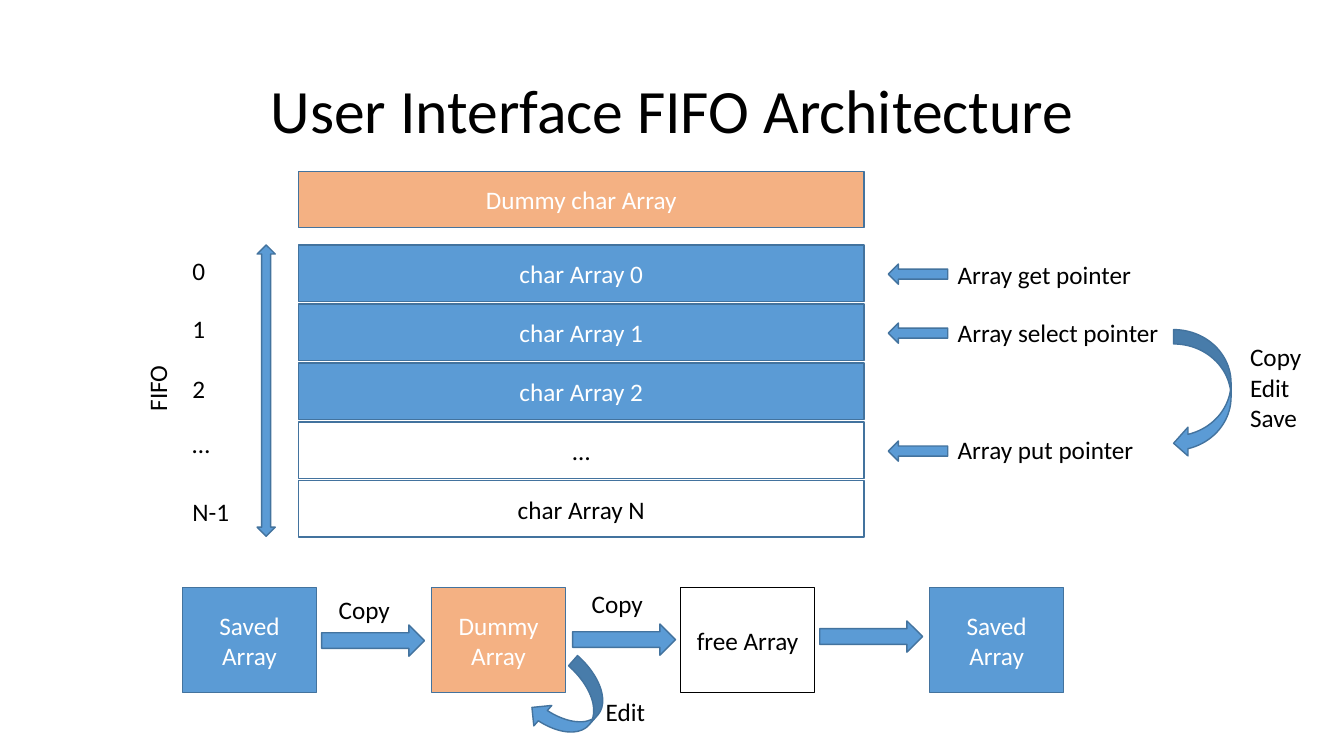
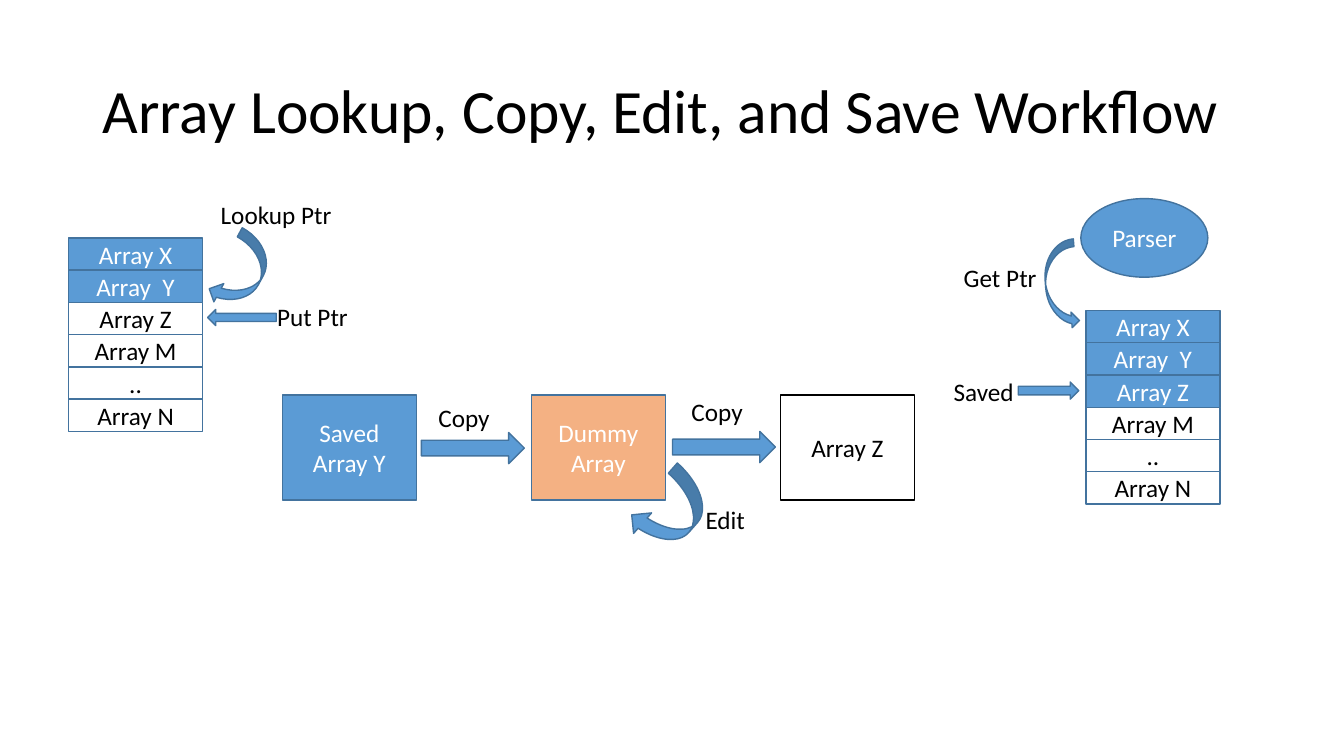
"""Two slides on a FIFO of character arrays and its copy, edit and save workflow."""
from pptx import Presentation
from pptx import util as u
from pptx.dml.color import RGBColor
from pptx.enum import shapes, text
from pptx.oxml.ns import qn

COLORS = {"blue": "5B9BD5", "edge": "43739E", "orange": "F4B183", "white": "FFFFFF", "black": "000000"}
FONT = "Calibri"
KIND = shapes.MSO_SHAPE
ALIGN = text.PP_ALIGN

FULL = {"fill": "blue", "color": "white"}
DUMMY = {"fill": "orange", "color": "white"}
FREE = {"fill": "white", "color": "black"}

FIFO_LEFT, FIFO_TOP, FIFO_WIDTH, ROW_HEIGHT = 2.96, 2.43, 5.61, 0.56
ROW_PITCH = 2.34 / 4
FIFO_ROWS = [("char Array 0", FULL), ("char Array 1", FULL), ("char Array 2", FULL),
             ("…", FREE), ("char Array N", FREE)]
INDEXES = [("0", 2.48, 0.33), ("1", 3.06, 0.33), ("2", 3.65, 0.33), ("…", 4.2, 0.38), ("N-1", 4.87, 0.57)]
POINTERS = [(0, "Array get pointer", 2.52, 2), (1, "Array select pointer", 3.1, 2.21),
            (3, "Array put pointer", 4.26, 1.96)]

STACK_ROWS = ["Array X", "Array  Y", "Array Z", "Array M", "..", "Array N"]
STACKS = [(0.68, 2.36, 2), (10.77, 3.08, 3)]
STACK_PITCH = 0.32

BOX_WIDTH, BOX_HEIGHT, BOX_PITCH = 1.33, 1.04, 2.47
FLOW_ARROWS = [(1.38, 0.37), (3.87, 0.36), (6.32, 0.33)]
FLOW_LABELS = [("Copy", 1.45, 0.02, 0.72), ("Copy", 3.96, -0.04, 0.72), ("Edit", 4.1, 1.03, 0.6)]


def color(name):
    return RGBColor.from_string(COLORS[name])


def write(frame, words, size=18, ink="black", align=ALIGN.LEFT, spacing=None):
    """Fill a text frame, one paragraph a line."""
    for index, line in enumerate(words.split("\n")):
        paragraph = frame.paragraphs[0] if index == 0 else frame.add_paragraph()
        paragraph.alignment = align
        if spacing:
            paragraph.line_spacing = spacing
        run = paragraph.add_run()
        run.text = line
        run.font.name, run.font.size = FONT, u.Pt(size)
        run.font.color.rgb = color(ink)


def draw(slide, kind, left, top, width, height, words="", fill="blue", color_name="white",
         edge="edge", rotation=0, mirrored=False):
    """Add an outlined preset shape with centred text."""
    shape = slide.shapes.add_shape(kind, *map(u.Inches, (left, top, width, height)))
    shape.shadow.inherit = False
    shape.fill.solid()
    shape.fill.fore_color.rgb = color(fill)
    shape.line.color.rgb = color(edge)
    shape.line.width = u.Pt(1)
    shape.rotation = rotation
    if mirrored:
        shape.element.spPr.find(qn("a:xfrm")).set("flipH", "1")
    if words:
        shape.text_frame.vertical_anchor = text.MSO_ANCHOR.MIDDLE
        write(shape.text_frame, words, ink=color_name, align=ALIGN.CENTER)


def box(slide, left, top, width, height, words, state, **style):
    draw(slide, KIND.RECTANGLE, left, top, width, height, words, state["fill"], state["color"], **style)


def label(slide, words, left, top, width, height=0.4, rotation=0):
    note = slide.shapes.add_textbox(*map(u.Inches, (left, top, width, height)))
    note.rotation = rotation
    note.text_frame.word_wrap = False
    note.text_frame.auto_size = text.MSO_AUTO_SIZE.SHAPE_TO_FIT_TEXT
    write(note.text_frame, words)


def titled_slide(deck, words, align):
    slide = deck.slides.add_slide(deck.slide_layouts[6])
    title = slide.shapes.add_textbox(*map(u.Inches, (0.92, 0.4, 11.5, 1.45)))
    title.text_frame.word_wrap = True
    title.text_frame.vertical_anchor = text.MSO_ANCHOR.MIDDLE
    write(title.text_frame, words, size=44, align=align, spacing=0.9)
    return slide


def flow(slide, left, top, boxes):
    """Draw the row of array boxes with its copy arrows and edit loop."""
    for index, (words, state) in enumerate(boxes):
        edge = "black" if state is FREE else "edge"
        box(slide, left + index * BOX_PITCH, top, BOX_WIDTH, BOX_HEIGHT, words, state, edge=edge)
    for across, down in FLOW_ARROWS[:len(boxes) - 1]:
        draw(slide, KIND.RIGHT_ARROW, left + across, top + down, 1.02, 0.31)
    draw(slide, KIND.CURVED_LEFT_ARROW, left + 3.58, top + 0.75, 0.54, 0.82, rotation=41.3)
    for words, across, down, width in FLOW_LABELS:
        label(slide, words, left + across, top + down, width)


def architecture(deck):
    slide = titled_slide(deck, "User Interface FIFO Architecture", ALIGN.CENTER)
    box(slide, FIFO_LEFT, 1.7, FIFO_WIDTH, ROW_HEIGHT, "Dummy char Array", DUMMY)
    for row, (words, state) in enumerate(FIFO_ROWS):
        box(slide, FIFO_LEFT, FIFO_TOP + row * ROW_PITCH, FIFO_WIDTH, ROW_HEIGHT, words, state)
    for words, top, width in INDEXES:
        label(slide, words, 1.81, top, width)
    draw(slide, KIND.UP_DOWN_ARROW, 2.55, FIFO_TOP, 0.18, 2.89)
    label(slide, "FIFO", 1.23, 3.65, 0.66, rotation=270)
    for row, words, top, width in POINTERS:
        draw(slide, KIND.LEFT_ARROW, 8.81, FIFO_TOP + row * ROW_PITCH + 0.19, 0.59, 0.2)
        label(slide, words, 9.4, top, width)
    draw(slide, KIND.CURVED_LEFT_ARROW, 11.64, 3.27, 0.57, 1.27)
    label(slide, "Copy\nEdit\nSave", 12.3, 3.34, 0.72, 1.01)
    flow(slide, 1.81, 5.83, [("Saved Array", FULL), ("Dummy\nArray", DUMMY),
                             ("free Array", FREE), ("Saved Array", FULL)])


def workflow(deck):
    slide = titled_slide(deck, "Array Lookup, Copy, Edit, and Save Workflow", ALIGN.LEFT)
    flow(slide, 2.8, 3.92, [("Saved Array Y", FULL), ("Dummy\nArray", DUMMY), ("Array Z", FREE)])
    for left, top, used in STACKS:
        for row, words in enumerate(STACK_ROWS):
            box(slide, left, top + row * STACK_PITCH, BOX_WIDTH, STACK_PITCH, words,
                FULL if row < used else FREE)
    label(slide, "Lookup Ptr", 2.09, 1.93, 1.31)
    draw(slide, KIND.CURVED_LEFT_ARROW, 2.19, 2.31, 0.41, 0.79, rotation=28.4)
    draw(slide, KIND.LEFT_ARROW, 2.06, 3.07, 0.68, 0.16)
    label(slide, "Put Ptr", 2.65, 2.94, 0.91)
    label(slide, "Saved", 9.36, 3.68, 0.81)
    draw(slide, KIND.RIGHT_ARROW, 10.1, 3.79, 0.6, 0.17)
    draw(slide, KIND.CURVED_LEFT_ARROW, 10.37, 2.38, 0.31, 0.89, rotation=355.7, mirrored=True)
    draw(slide, KIND.OVAL, 10.72, 1.97, 1.26, 0.78, "Parser")
    label(slide, "Get Ptr", 9.46, 2.55, 0.93)


def main():
    deck = Presentation()
    deck.slide_width, deck.slide_height = u.Inches(13.33), u.Inches(7.5)
    architecture(deck)
    workflow(deck)
    deck.save("out.pptx")


if __name__ == "__main__":
    main()
